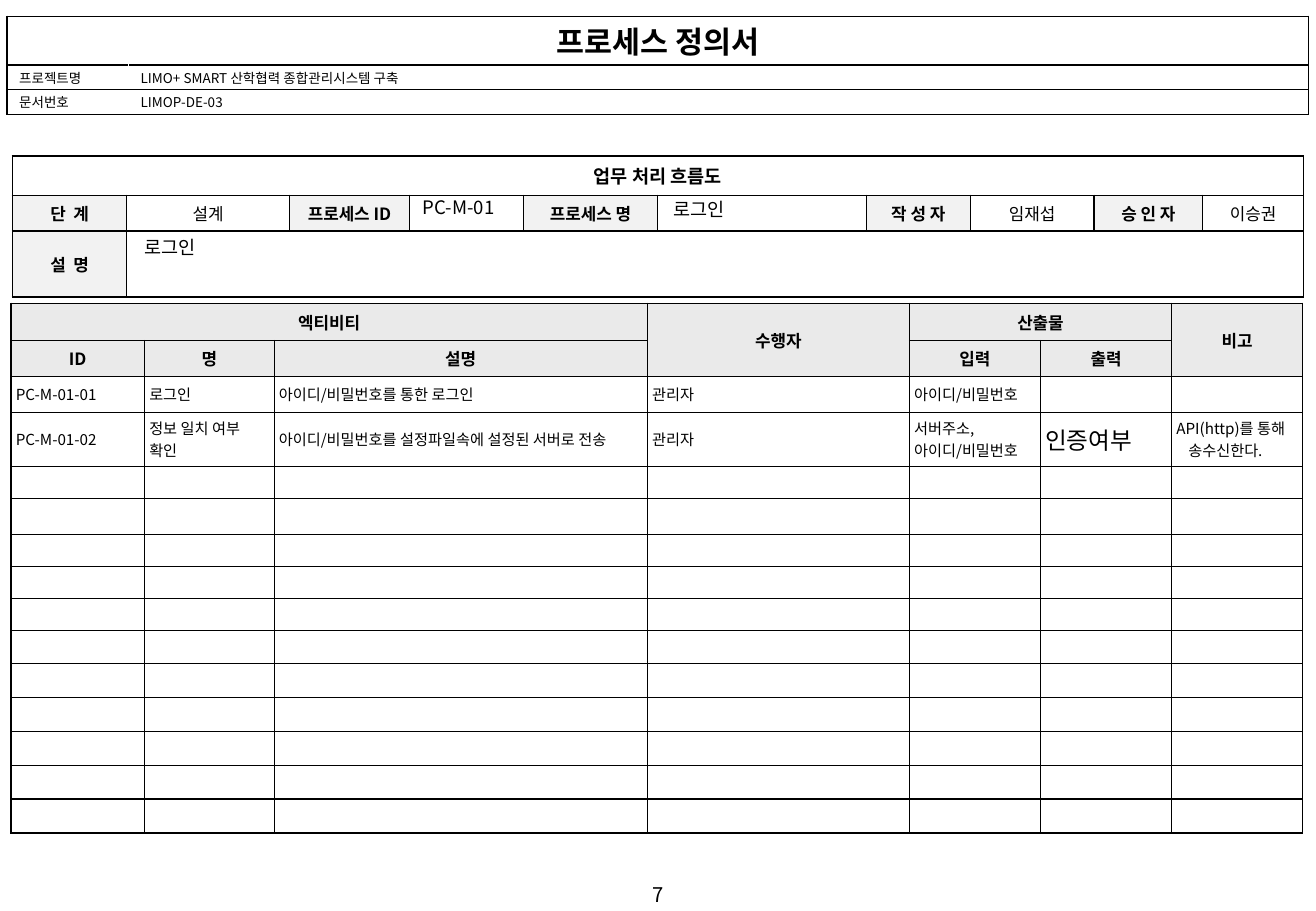
from dataclasses import dataclass
from typing import Any, NamedTuple

from lxml import etree
from pptx import Presentation
from pptx import util as u
from pptx.dml import color
from pptx.enum import text
from pptx.oxml import ns

COLORS = {"ink": "000000", "paper": "FFFFFF", "label": "F2F2F2", "head": "EAEAEA"}
FONT = "Noto Sans CJK KR"
LEFT, CENTER = text.PP_ALIGN.LEFT, text.PP_ALIGN.CENTER


class Entry(NamedTuple):
    lines: list[str]
    size: float = 9
    bold: bool = False
    align: Any = LEFT
    font: str = FONT
    fill: str = "paper"
    hanging: float = 0


class Merge(NamedTuple):
    top: int
    left: int
    bottom: int
    right: int


class Label(NamedTuple):
    left: float
    top: float
    width: float
    height: float
    entry: Entry


@dataclass
class Grid:
    left: float
    top: float
    cols: list[float]
    rows: list[float]
    entries: dict[tuple[int, int], Entry]
    merges: list[Merge]
    outer: str = "LRTB"
    inner_width: float = 0.75
    divider: str = "ink"
    inset: float = 0.25


def assign(obj: Any, values: dict[str, Any]) -> None:
    for name, value in values.items():
        setattr(obj, name, value)


def rgb(name: str) -> color.RGBColor:
    return color.RGBColor.from_string(COLORS[name])


def write(tf: Any, entry: Entry) -> None:
    for i, line in enumerate(entry.lines):
        p = tf.paragraphs[0] if i == 0 else tf.add_paragraph()
        p.alignment = entry.align
        if entry.hanging:
            indent = u.Cm(entry.hanging)
            p_pr = p._p.get_or_add_pPr()
            p_pr.set("marL", str(indent))
            p_pr.set("indent", str(-indent))
        if not line:
            etree.SubElement(p._p, ns.qn("a:endParaRPr"), sz=str(int(entry.size * 100)))
            continue
        r = p.add_run()
        r.text = line
        assign(r.font, {"size": u.Pt(entry.size), "bold": entry.bold, "name": entry.font})
        r.font.color.rgb = rgb("ink")
        etree.SubElement(r._r.get_or_add_rPr(), ns.qn("a:ea"), typeface=FONT)


def draw_borders(cell: Any, grid: Grid, row: int, col: int) -> None:
    at_edge = {
        "L": col == 0,
        "R": col + cell.span_width == len(grid.cols),
        "T": row == 0,
        "B": row + cell.span_height == len(grid.rows),
    }
    tc_pr = cell._tc.get_or_add_tcPr()
    for i, (side, edge) in enumerate(at_edge.items()):
        width = 1 if edge and side in grid.outer else grid.inner_width
        shade = grid.divider if side in "LR" and not edge else "ink"
        ln = etree.Element(ns.qn(f"a:ln{side}"), w=str(u.Pt(width)))
        solid = etree.SubElement(ln, ns.qn("a:solidFill"))
        etree.SubElement(solid, ns.qn("a:srgbClr"), val=COLORS[shade])
        tc_pr.insert(i, ln)


def draw_grid(slide: Any, grid: Grid) -> None:
    sp = slide.shapes.add_table(
        len(grid.rows), len(grid.cols), u.Cm(grid.left), u.Cm(grid.top),
        u.Cm(sum(grid.cols)), u.Cm(sum(grid.rows)))
    table = sp.table
    assign(table, {"first_row": False, "horz_banding": False})
    for column, width in zip(table.columns, grid.cols):
        column.width = u.Cm(width)
    for line, height in zip(table.rows, grid.rows):
        line.height = u.Cm(height)
    for m in grid.merges:
        table.cell(m.top, m.left).merge(table.cell(m.bottom, m.right))
    for row in range(len(grid.rows)):
        for col in range(len(grid.cols)):
            cell = table.cell(row, col)
            entry = grid.entries.get((row, col), Entry([""], 8))
            assign(cell, {"margin_left": u.Cm(grid.inset), "margin_right": u.Cm(grid.inset),
                          "margin_top": u.Cm(0.05), "margin_bottom": u.Cm(0.05),
                          "vertical_anchor": text.MSO_ANCHOR.MIDDLE})
            write(cell.text_frame, entry)
            if cell.is_spanned:
                continue
            draw_borders(cell, grid, row, col)
            cell.fill.solid()
            cell.fill.fore_color.rgb = rgb(entry.fill)


def draw_label(slide: Any, label: Label) -> None:
    box = (u.Cm(side) for side in label[:4])
    tf = slide.shapes.add_textbox(*box).text_frame
    assign(tf, {"word_wrap": True, "vertical_anchor": text.MSO_ANCHOR.TOP,
                "margin_left": u.Cm(0.25), "margin_right": u.Cm(0.25),
                "margin_top": u.Cm(0.13), "margin_bottom": u.Cm(0.13)})
    write(tf, label.entry)


def heading(line: str, fill: str = "head") -> Entry:
    return Entry([line], 10, True, CENTER, fill=fill)


def value(line: str) -> Entry:
    return Entry([line], 10, False, CENTER)


document = Grid(
    0.15, 0.34, [2.54, 24.66], [1.02, 0.5, 0.52],
    {(0, 0): Entry(["프로세스 정의서"], 18, True, CENTER),
     (1, 0): Entry(["프로젝트명"], 8), (1, 1): Entry(["LIMO+ SMART 산학협력 종합관리시스템 구축"], 8),
     (2, 0): Entry(["문서번호"], 8), (2, 1): Entry(["LIMOP-DE-03"], 8)},
    [Merge(0, 0, 0, 1)], inner_width=1, divider="paper")

process_labels = ["단  계", "프로세스 ID", "프로세스 명", "작 성 자", "승 인 자"]
process = Grid(
    0.26, 3.26, [2.39, 3.4, 2.51, 2.39, 2.79, 4.37, 2.17, 2.59, 2.27, 2.11], [0.82, 0.75, 1.38],
    {(0, 0): Entry(["업무 처리 흐름도"], 11, True, CENTER),
     **{(1, 2 * i): heading(line, "label") for i, line in enumerate(process_labels)},
     (1, 1): value("설계"), (1, 7): value("임재섭"), (1, 9): value("이승권"),
     (2, 0): heading("설  명", "label")},
    [Merge(0, 0, 0, 9), Merge(2, 1, 2, 9)])

headings = {(0, 0): "엑티비티", (0, 3): "수행자", (0, 4): "산출물", (0, 6): "비고",
            (1, 0): "ID", (1, 1): "명", (1, 2): "설명", (1, 4): "입력", (1, 5): "출력"}
activities = Grid(
    0.23, 6.34, [2.79, 2.71, 7.8, 5.48] + [2.74] * 3,
    [0.78, 0.75, 0.75, 1.13, 0.67, 0.75] + [0.67] * 3 + [0.69] + [0.71] * 5,
    {**{spot: heading(line) for spot, line in headings.items()},
     (2, 0): Entry(["PC-M-01-01"]), (2, 1): Entry(["로그인"]),
     (2, 2): Entry(["아이디/비밀번호를 통한 로그인"]), (2, 3): Entry(["관리자"]),
     (2, 4): Entry(["아이디/비밀번호"]),
     (3, 0): Entry(["PC-M-01-02"]), (3, 1): Entry(["정보 일치 여부", "확인"]),
     (3, 2): Entry(["아이디/비밀번호를 설정파일속에 설정된 서버로 전송"]), (3, 3): Entry(["관리자"]),
     (3, 4): Entry(["서버주소,", "아이디/비밀번호"]),
     (3, 5): Entry(["인증여부"], 14, font="Arial"),
     (3, 6): Entry(["API(http)를 통해 송수신한다."], hanging=0.25)},
    [Merge(0, 0, 0, 2), Merge(0, 3, 1, 3), Merge(0, 4, 0, 5), Merge(0, 6, 1, 6)],
    outer="L", inset=0.1)

labels = [
    Label(0, 18.31, 27.51, 0.76, Entry(["7"], 12, align=CENTER)),
    Label(8.59, 3.96, 2.36, 0.74, Entry(["PC-M-01"], 11)),
    Label(13.82, 4.01, 4.34, 0.74, Entry(["로그인"], 11)),
    Label(2.77, 4.8, 24.21, 0.74, Entry(["로그인"], 11)),
]

prs = Presentation()
assign(prs, {"slide_width": u.Cm(27.51), "slide_height": u.Cm(19.05)})
slide = prs.slides.add_slide(prs.slide_layouts[6])
for grid in (document, process, activities):
    draw_grid(slide, grid)
for label in labels:
    draw_label(slide, label)
prs.save("out.pptx")
